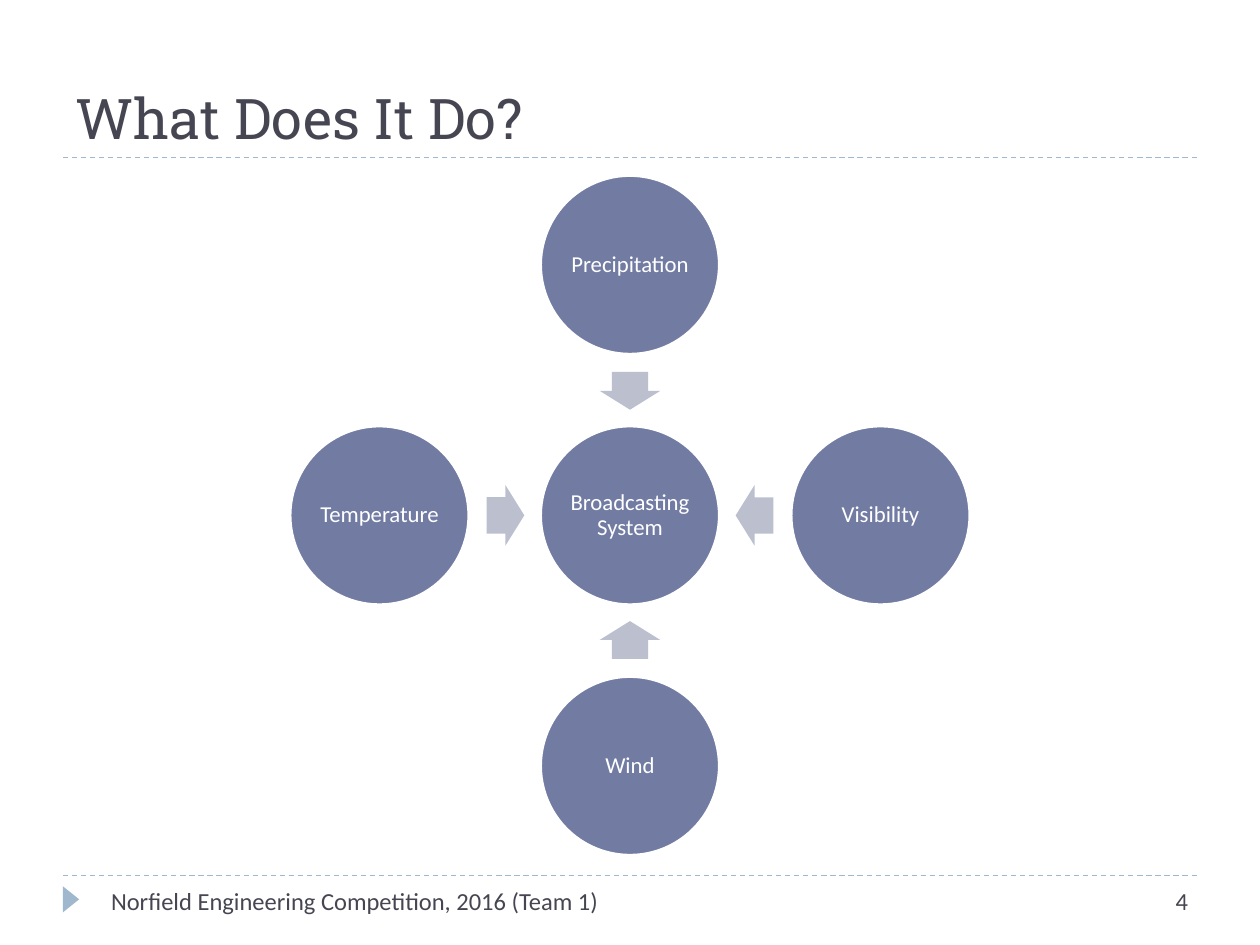
from typing import NamedTuple

from lxml import etree
from pptx import Presentation
from pptx.dml.color import RGBColor
from pptx.enum.dml import MSO_LINE
from pptx.enum.shapes import MSO_CONNECTOR, MSO_SHAPE
from pptx.enum.text import MSO_ANCHOR, PP_ALIGN
from pptx.oxml.ns import qn
from pptx.shapes.autoshape import Shape
from pptx.slide import Slide
from pptx.text.text import TextFrame
from pptx.util import Cm, Pt

OVAL, ARROW, WEDGE = MSO_SHAPE.OVAL, MSO_SHAPE.RIGHT_ARROW, MSO_SHAPE.ISOSCELES_TRIANGLE
STRAIGHT, DASH = MSO_CONNECTOR.STRAIGHT, MSO_LINE.DASH
TOP, MIDDLE, BOTTOM = MSO_ANCHOR.TOP, MSO_ANCHOR.MIDDLE, MSO_ANCHOR.BOTTOM
LEFT, CENTER, RIGHT = PP_ALIGN.LEFT, PP_ALIGN.CENTER, PP_ALIGN.RIGHT

COLORS = {"ink": "464653", "rule": "9FB8CD", "disc": "727CA3", "arrow": "BCBFCE", "white": "FFFFFF"}
BODY, HEAD = "Calibri", "Roboto Slab"
MID_X, MID_Y = 12.7, 10.39
STEP, REACH = 5.05, 2.51
DISC = 3.6


class Source(NamedTuple):
    label: str
    dx: int
    dy: int
    turn: int


class Label(NamedTuple):
    text: str
    left: float
    top: float
    width: float
    height: float
    size: int
    font: str
    align: PP_ALIGN
    anchor: MSO_ANCHOR


SOURCES = [
    Source("Precipitation", 0, -1, 90),
    Source("Visibility", 1, 0, 180),
    Source("Wind", 0, 1, 270),
    Source("Temperature", -1, 0, 0),
]
LABELS = [
    Label("What Does It Do?", 1.27, 0.43, 22.86, 2.74, 32, HEAD, LEFT, BOTTOM),
    Label("Norfield Engineering Competition, 2016 (Team 1)", 1.22, 17.73, 11.1, 1.02, 14, BODY, RIGHT, TOP),
    Label("4", 18.69, 17.73, 5.51, 1.02, 14, BODY, RIGHT, TOP),
]


def color(name: str) -> RGBColor:
    return RGBColor.from_string(COLORS[name])


def write(frame: TextFrame, text: str, size: int, font: str, tint: str, align: PP_ALIGN, anchor: MSO_ANCHOR) -> None:
    frame.word_wrap = True
    frame.vertical_anchor = anchor
    line = frame.paragraphs[0]
    line.alignment = align
    run = line.add_run()
    run.text = text
    run.font.size = Pt(size)
    run.font.name = font
    run.font.color.rgb = color(tint)


def add_form(slide: Slide, kind: MSO_SHAPE, x: float, y: float, width: float, height: float,
             fill: str, turn: int = 0) -> Shape:
    form = slide.shapes.add_shape(kind, Cm(x - width / 2), Cm(y - height / 2), Cm(width), Cm(height))
    form.shadow.inherit = False
    form.fill.solid()
    form.fill.fore_color.rgb = color(fill)
    form.line.fill.background()
    form.rotation = turn
    return form


def add_disc(slide: Slide, text: str, x: float, y: float) -> None:
    disc = add_form(slide, OVAL, x, y, DISC, DISC, "disc")
    disc.line.color.rgb = color("white")
    disc.line.width = Pt(1.5)
    frame = disc.text_frame
    frame.margin_left = frame.margin_right = frame.margin_top = frame.margin_bottom = Cm(0.04)
    write(frame, text, 13, BODY, "white", CENTER, MIDDLE)
    frame.paragraphs[0].line_spacing = 0.9


def add_arrow(slide: Slide, x: float, y: float, turn: int) -> None:
    arrow = add_form(slide, ARROW, x, y, 0.76, 1.22, "arrow", turn)
    arrow.adjustments[0] = 0.6
    arrow.adjustments[1] = 0.5


def add_rule(slide: Slide, y: float) -> None:
    rule = slide.shapes.add_connector(STRAIGHT, Cm(1.27), Cm(y), Cm(24.13), Cm(y))
    rule.line.color.rgb = color("rule")
    rule.line.width = Pt(0.75)
    rule.line.dash_style = DASH
    etree.SubElement(rule._element.spPr, qn("a:effectLst"))


def add_label(slide: Slide, label: Label) -> None:
    box = slide.shapes.add_textbox(Cm(label.left), Cm(label.top), Cm(label.width), Cm(label.height))
    write(box.text_frame, label.text, label.size, label.font, "ink", label.align, label.anchor)


def main() -> None:
    deck = Presentation()
    deck.slide_width, deck.slide_height = Cm(25.4), Cm(19.05)
    slide = deck.slides.add_slide(deck.slide_layouts[6])
    for y in (17.65, 3.18):
        add_rule(slide, y)
    add_form(slide, WEDGE, 1.43, 18.13, 0.53, 0.33, "rule", 90)
    add_disc(slide, "Broadcasting System", MID_X, MID_Y)
    for item in SOURCES:
        add_arrow(slide, MID_X + item.dx * REACH, MID_Y + item.dy * REACH, item.turn)
        add_disc(slide, item.label, MID_X + item.dx * STEP, MID_Y + item.dy * STEP)
    for label in LABELS:
        add_label(slide, label)
    deck.save("out.pptx")


if __name__ == "__main__":
    main()
